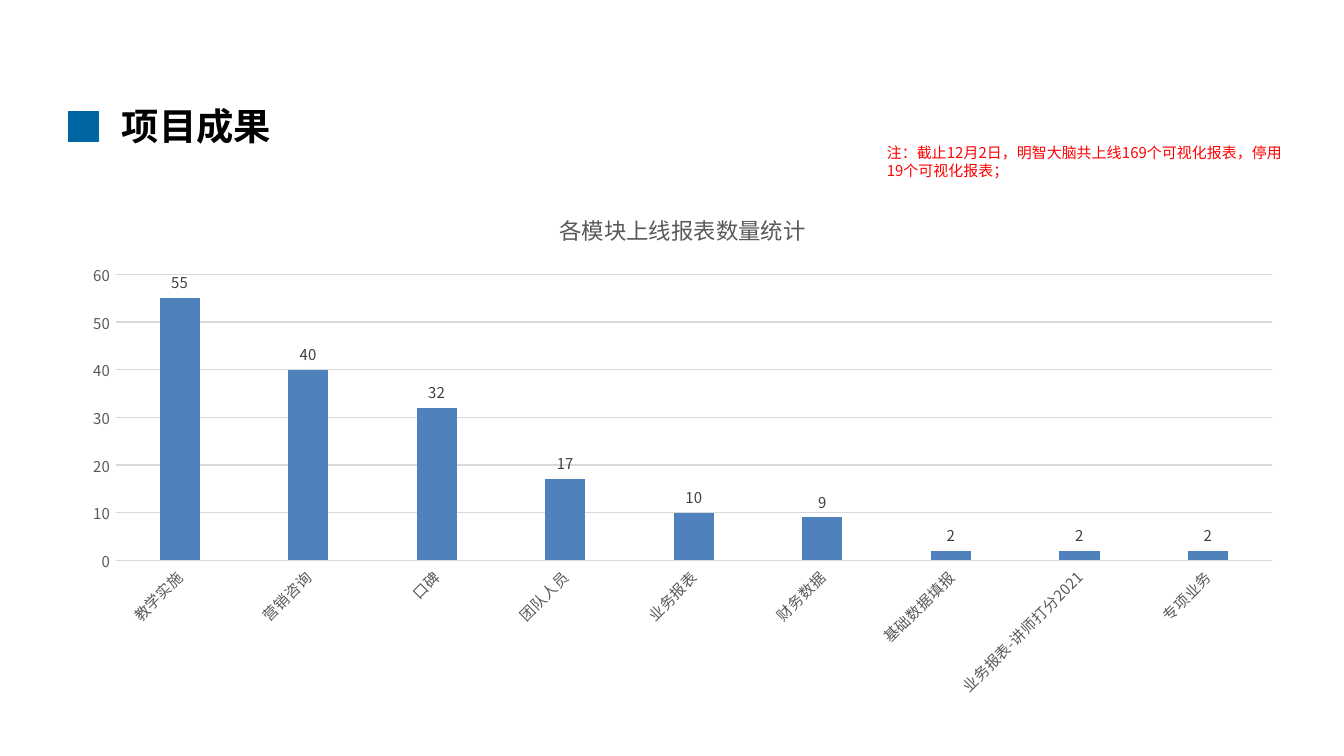
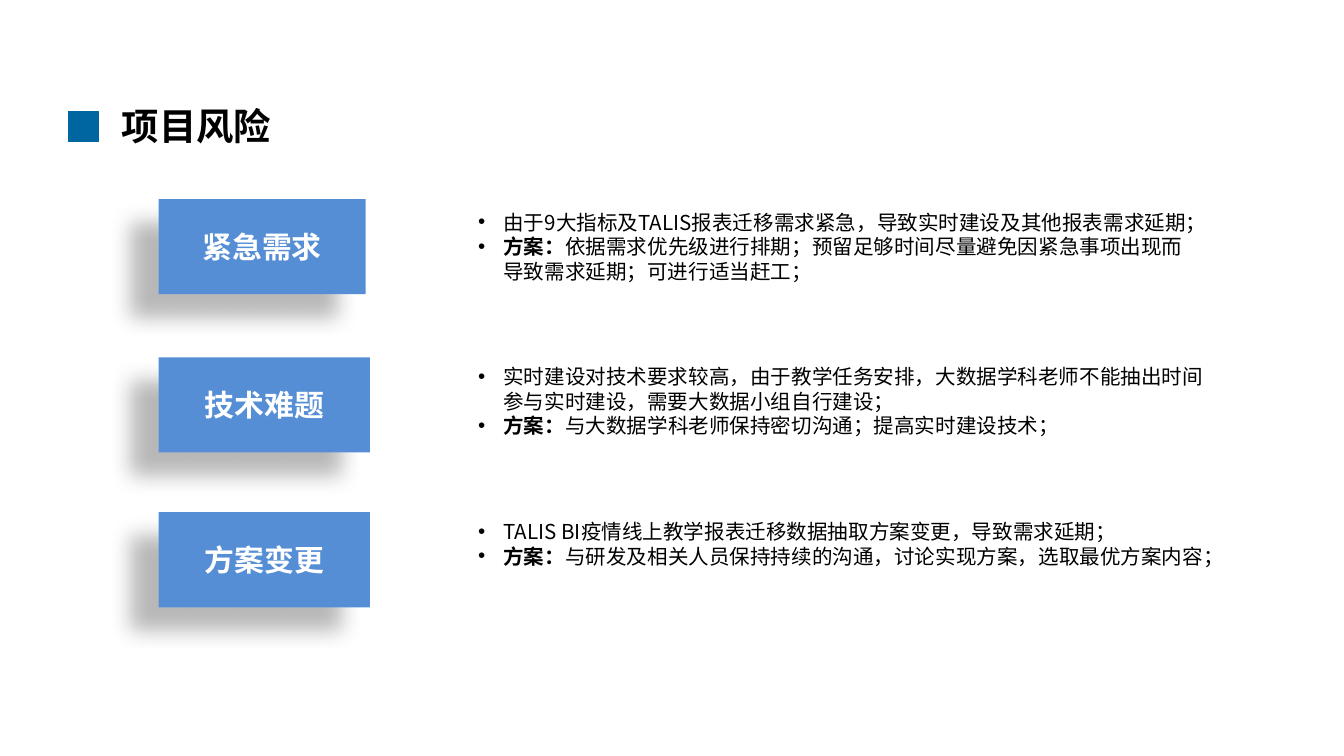
"""Build the project results and project risks slides."""
from itertools import product
from lxml import etree
from pptx import Presentation
from pptx.chart.data import CategoryChartData
from pptx.dml.color import RGBColor
from pptx.enum import chart as ch, shapes, text
from pptx.oxml import parse_xml
from pptx.oxml.ns import qn
from pptx.util import Pt

FACE = "Noto Sans CJK SC"
NAVY, BLUE, BAR = "0066A1", "558ED5", "4F81BD"
BLACK, WHITE, RED = "000000", "FFFFFF", "FF0000"
GRAY, DARK, PALE = "595959", "404040", "D9D9D9"

NOTE = "注：截止12月2日，明智大脑共上线169个可视化报表，停用19个可视化报表；"
CHART = "各模块上线报表数量统计"
COUNTS = {
    "教学实施": 55, "营销咨询": 40, "口碑": 32, "团队人员": 17,
    "业务报表": 10, "财务数据": 9, "基础数据填报": 2,
    "业务报表-讲师打分2021": 2, "专项业务": 2,
}
PLAN = "方案："
RISKS = [
    {"name": "紧急需求", "top": 106.6, "wide": 110.9, "text": (108.7, 393.8),
     "cause": "由于9大指标及TALIS报表迁移需求紧急，导致实时建设及其他报表需求延期；",
     "plan": "依据需求优先级进行排期；预留足够时间尽量避免因紧急事项出现而导致需求延期；可进行适当赶工；"},
    {"name": "技术难题", "top": 191.4, "wide": 113.2, "text": (191.5, 405.4),
     "cause": "实时建设对技术要求较高，由于教学任务安排，大数据学科老师不能抽出时间参与实时建设，需要大数据小组自行建设；",
     "plan": "与大数据学科老师保持密切沟通；提高实时建设技术；"},
    {"name": "方案变更", "top": 274.4, "wide": 113.2, "text": (274.5, 405.4),
     "cause": "TALIS BI疫情线上教学报表迁移数据抽取方案变更，导致需求延期；",
     "plan": "与研发及相关人员保持持续的沟通，讨论实现方案，选取最优方案内容；"},
]
SHADE = (
    '<a:effectLst xmlns:a="http://schemas.openxmlformats.org/drawingml/2006/main">'
    '<a:outerShdw blurRad="149860" dist="250190" dir="8460000" algn="ctr" rotWithShape="0">'
    '<a:srgbClr val="000000"><a:alpha val="28000"/></a:srgbClr>'
    '</a:outerShdw></a:effectLst>'
)


def rgb(code):
    return RGBColor.from_string(code)


def style(font, size, color, bold=False):
    font.size, font.bold, font.name = Pt(size), bold, FACE
    font.color.rgb = rgb(color)
    latin = font._element.find(qn("a:latin"))
    east = etree.Element(qn("a:ea"), typeface=FACE)
    latin.addnext(east)


def write(para, runs, size, color):
    para.line_spacing = Pt(size * 1.2)
    for words, bold in runs:
        run = para.add_run()
        run.text = words
        style(run.font, size, color, bold)


def bullet(para):
    props = para._p.get_or_add_pPr()
    props.set("marL", str(Pt(13.5)))
    props.set("indent", str(-Pt(13.5)))
    etree.SubElement(props, qn("a:buFont"), typeface="Arial")
    etree.SubElement(props, qn("a:buChar"), char="•")


def add_text(slide, spot, paras, size, color, dots=False):
    frame = slide.shapes.add_textbox(*map(Pt, spot)).text_frame
    frame.word_wrap = True
    for i, runs in enumerate(paras):
        para = frame.add_paragraph() if i else frame.paragraphs[0]
        if dots:
            bullet(para)
        write(para, runs, size, color)


def add_rect(parent, spot, color):
    rect = parent.add_shape(shapes.MSO_SHAPE.RECTANGLE, *map(Pt, spot))
    rect.shadow.inherit = False
    rect.fill.solid()
    rect.fill.fore_color.rgb = rgb(color)
    rect.line.fill.background()
    return rect


def add_slide(deck, title):
    slide = deck.slides.add_slide(deck.slide_layouts[6])
    add_text(slide, (58.2, 51.9, 471, 31.5), [[(title, True)]], 20, BLACK)
    group = slide.shapes.add_group_shape().shapes
    side = 8.1
    for row, col in product(range(2), repeat=2):
        spot = (36.6 + col * side, 59.6 + row * side, side, side)
        tile = add_rect(group, spot, NAVY)
        tile.line.color.rgb = rgb(NAVY)
        tile.line.width = Pt(0.5)
    return slide


def add_chart(slide):
    data = CategoryChartData()
    data.categories = list(COUNTS)
    data.add_series("Series 1", list(COUNTS.values()))
    spot = map(Pt, (36.7, 100.8, 658, 278))
    chart = slide.shapes.add_chart(ch.XL_CHART_TYPE.COLUMN_CLUSTERED, *spot, data).chart
    style(chart.font, 10, BLACK)
    chart.has_legend = False
    chart.has_title = True
    run = chart.chart_title.text_frame.paragraphs[0].add_run()
    run.text = CHART
    style(run.font, 12, GRAY)
    chart.chart_title.include_in_layout = False

    for axis in (chart.category_axis, chart.value_axis):
        axis.major_tick_mark = axis.minor_tick_mark = ch.XL_TICK_MARK.NONE
        style(axis.tick_labels.font, 8, GRAY)
    cats, vals = chart.category_axis, chart.value_axis
    cats._element.find(qn("c:txPr")).find(qn("a:bodyPr")).set("rot", "-2700000")
    vals.minimum_scale, vals.maximum_scale, vals.major_unit = 0, 60, 10
    vals.format.line.fill.background()
    for line in (cats.format.line, vals.major_gridlines.format.line):
        line.color.rgb = rgb(PALE)
        line.width = Pt(0.75)

    plot = chart.plots[0]
    plot.gap_width, plot.overlap, plot.vary_by_categories = 219, -27, False
    fill = plot.series[0].format.fill
    fill.solid()
    fill.fore_color.rgb = rgb(BAR)
    plot.has_data_labels = True
    tags = plot.data_labels
    tags.show_value = True
    tags.position = ch.XL_LABEL_POSITION.OUTSIDE_END
    style(tags.font, 8, DARK)


def add_risk(slide, risk):
    box = add_rect(slide.shapes, (85, risk["top"], risk["wide"], 51), BLUE)
    props = box._element.spPr
    props.replace(props.find(qn("a:effectLst")), parse_xml(SHADE))
    frame = box.text_frame
    frame.vertical_anchor = text.MSO_ANCHOR.MIDDLE
    para = frame.paragraphs[0]
    para.alignment = text.PP_ALIGN.CENTER
    write(para, [(risk["name"], True)], 16, WHITE)
    top, wide = risk["text"]
    paras = [[(risk["cause"], False)], [(PLAN, True), (risk["plan"], False)]]
    add_text(slide, (249.1, top, wide, 47.5), paras, 11, BLACK, dots=True)


def main():
    deck = Presentation()
    deck.slide_width, deck.slide_height = Pt(720), Pt(405)
    result = add_slide(deck, "项目成果")
    add_text(result, (468, 73.4, 226.8, 26.6), [[(NOTE, False)]], 8, RED)
    add_chart(result)
    danger = add_slide(deck, "项目风险")
    for risk in RISKS:
        add_risk(danger, risk)
    deck.save("out.pptx")


if __name__ == "__main__":
    main()
